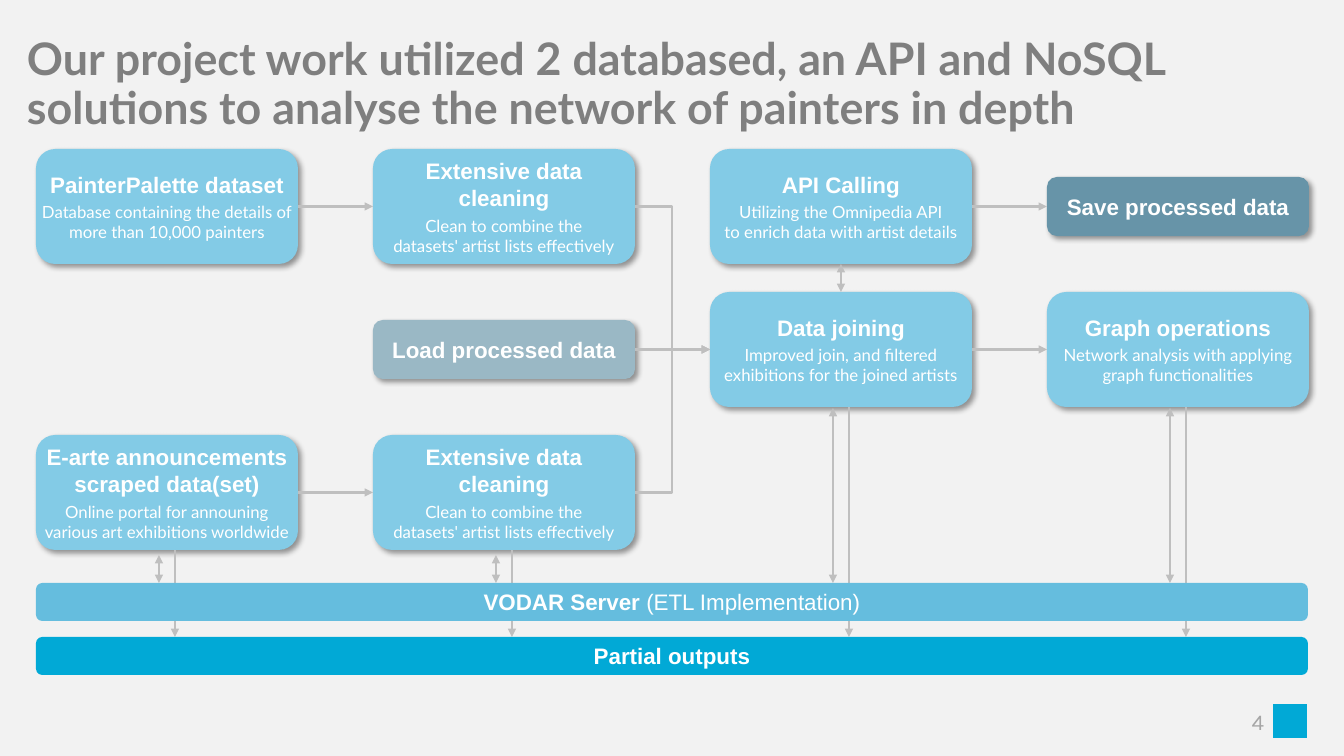
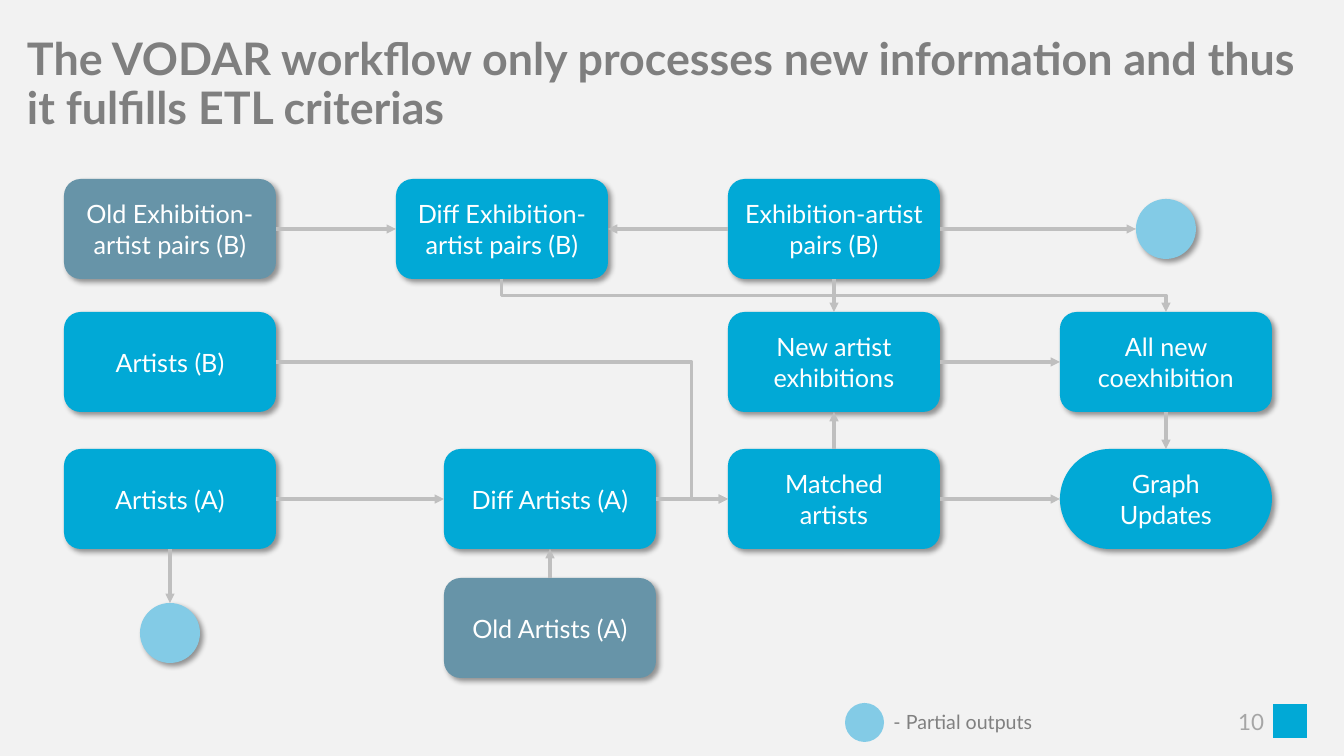
"""Build two flow-diagram slides about a painter network project."""
from copy import deepcopy
from dataclasses import dataclass

from lxml import etree
from pptx import Presentation
from pptx.dml.color import RGBColor
from pptx.enum.shapes import MSO_CONNECTOR, MSO_SHAPE
from pptx.enum.text import MSO_ANCHOR, PP_ALIGN
from pptx.oxml.ns import qn
from pptx.shapes.autoshape import Shape
from pptx.shapes.connector import Connector
from pptx.slide import Slide
from pptx.text.text import TextFrame
from pptx.util import Emu, Pt

ROUNDED, OVAL, RECTANGLE = MSO_SHAPE.ROUNDED_RECTANGLE, MSO_SHAPE.OVAL, MSO_SHAPE.RECTANGLE
STRAIGHT, ELBOW = MSO_CONNECTOR.STRAIGHT, MSO_CONNECTOR.ELBOW
LEFT_ALIGN, CENTER, RIGHT_ALIGN = PP_ALIGN.LEFT, PP_ALIGN.CENTER, PP_ALIGN.RIGHT
TOP_ANCHOR, MIDDLE = MSO_ANCHOR.TOP, MSO_ANCHOR.MIDDLE
TOP, LEFT, BOTTOM, RIGHT = range(4)

BACKGROUND = RGBColor(0xF2, 0xF2, 0xF2)
BLUE = RGBColor(0x01, 0xA9, 0xD6)
MID_BLUE = RGBColor(0x65, 0xBD, 0xDE)
LIGHT_BLUE = RGBColor(0x83, 0xCB, 0xE6)
SLATE = RGBColor(0x67, 0x94, 0xA8)
PALE_SLATE = RGBColor(0x9A, 0xB8, 0xC5)
LINE_GRAY = RGBColor(0xBF, 0xBF, 0xBF)
TITLE_GRAY = RGBColor(0x7F, 0x7F, 0x7F)
LEGEND_GRAY = RGBColor(0x80, 0x80, 0x80)
NUMBER_GRAY = RGBColor(0xA6, 0xA6, 0xA6)
WHITE = RGBColor(0xFF, 0xFF, 0xFF)

SLIDE_WIDTH, SLIDE_HEIGHT = 1344, 756
EMU_PER_PX = 12192000 / SLIDE_WIDTH


@dataclass(frozen=True)
class Style:
    """Font settings of a run."""
    size: int
    font: str = "Lato"
    color: RGBColor = WHITE
    bold: bool = False


@dataclass(frozen=True)
class Line:
    """A paragraph in one style."""
    text: str
    style: Style


@dataclass(frozen=True)
class Area:
    """A rectangle in px."""
    x: int
    y: int
    width: int
    height: int


@dataclass(frozen=True)
class Node:
    """A filled shape of a diagram."""
    area: Area
    fill: RGBColor
    lines: tuple[Line, ...] = ()
    kind: MSO_SHAPE = ROUNDED
    shadow: bool = True
    side_inset: int = 10
    space_after: int = 0
    corner: float | None = None


@dataclass(frozen=True)
class Flow:
    """An arrow between the sides of two nodes."""
    start: str
    end: str
    start_side: int = RIGHT
    end_side: int = LEFT
    bend: float | None = None
    two_way: bool = False


TITLE = Style(32, color=TITLE_GRAY, bold=True)
HEADING = Style(16, "Arial", bold=True)
HEADING_PLAIN = Style(16, "Arial")
DETAIL = Style(12)
STEP = Style(18)
LEGEND = Style(14, color=LEGEND_GRAY)


def px(length: float) -> Emu:
    """Turn px into EMU."""
    return Emu(round(length * EMU_PER_PX))


def place(area: Area) -> tuple[Emu, Emu, Emu, Emu]:
    """Return an area in EMU."""
    return px(area.x), px(area.y), px(area.width), px(area.height)


def apply_style(run, style: Style) -> None:
    """Format a run."""
    run.font.name = style.font
    run.font.size = Pt(style.size)
    run.font.bold = style.bold
    run.font.color.rgb = style.color


def write(frame: TextFrame, lines: tuple[Line, ...], align: PP_ALIGN = CENTER,
          anchor: MSO_ANCHOR = MIDDLE, side_inset: int = 10, space_after: int = 0) -> None:
    """Fill a text frame with styled paragraphs."""
    frame.word_wrap = True
    frame.vertical_anchor = anchor
    frame.margin_left = frame.margin_right = px(side_inset)
    frame.margin_top = frame.margin_bottom = px(5)
    for index, line in enumerate(lines):
        paragraph = frame.add_paragraph() if index else frame.paragraphs[0]
        paragraph.text = line.text
        paragraph.alignment = align
        paragraph.space_after = Pt(space_after)
        for run in paragraph.runs:
            apply_style(run, line.style)
        for line_break in paragraph._p.findall(qn("a:br")):
            line_break.append(deepcopy(paragraph.runs[0]._r.rPr))


def add_text(slide: Slide, area: Area, line: Line, align: PP_ALIGN,
             anchor: MSO_ANCHOR = MIDDLE, side_inset: int = 10) -> TextFrame:
    """Add a text box with one paragraph."""
    frame = slide.shapes.add_textbox(*place(area)).text_frame
    write(frame, (line,), align, anchor, side_inset)
    return frame


def add_shadow(shape: Shape) -> None:
    """Give a shape a soft shadow to the lower right."""
    effects = shape._element.spPr.find(qn("a:effectLst"))
    outer = etree.SubElement(effects, qn("a:outerShdw"), blurRad="50800", dist="38100",
                             dir="2700000", algn="tl", rotWithShape="0")
    color = etree.SubElement(outer, qn("a:srgbClr"), val="000000")
    etree.SubElement(color, qn("a:alpha"), val="40000")


def add_node(slide: Slide, node: Node) -> Shape:
    """Draw a node."""
    shape = slide.shapes.add_shape(node.kind, *place(node.area))
    shape.fill.solid()
    shape.fill.fore_color.rgb = node.fill
    shape.line.fill.background()
    shape.shadow.inherit = False
    if node.shadow:
        add_shadow(shape)
    if node.corner is not None:
        shape.adjustments[0] = node.corner
    if node.lines:
        write(shape.text_frame, node.lines, side_inset=node.side_inset,
              space_after=node.space_after)
    return shape


def style_connector(connector: Connector, width: float, two_way: bool) -> None:
    """Set line colour, width and arrowheads."""
    connector.line.color.rgb = LINE_GRAY
    connector.line.width = Pt(width)
    line = connector.line._get_or_add_ln()
    for end in ("a:headEnd", "a:tailEnd") if two_way else ("a:tailEnd",):
        etree.SubElement(line, qn(end), type="triangle")
    etree.SubElement(connector._element.spPr, qn("a:effectLst"))


def side_point(shape: Shape, side: int) -> tuple[int, int]:
    """Return the middle of a side in EMU."""
    column, row = ((1, 0), (0, 1), (1, 2), (2, 1))[side]
    return shape.left + shape.width * column // 2, shape.top + shape.height * row // 2


def turn_elbow(connector: Connector, begin: tuple[int, int], end: tuple[int, int]) -> None:
    """Make an elbow leave downwards and arrive from above."""
    across, down = end[0] - begin[0], end[1] - begin[1]
    connector.left = Emu((begin[0] + end[0] - down) // 2)
    connector.top = Emu((begin[1] + end[1] - across) // 2)
    connector.width, connector.height = Emu(down), Emu(across)
    transform = connector._element.spPr.find(qn("a:xfrm"))
    transform.set("rot", "16200000")
    transform.set("flipH", "1")


def add_flow(slide: Slide, shapes: dict[str, Shape], flow: Flow, width: float) -> None:
    """Draw an arrow joined to its two shapes."""
    source, target = shapes[flow.start], shapes[flow.end]
    begin, end = side_point(source, flow.start_side), side_point(target, flow.end_side)
    kind = STRAIGHT if flow.bend is None else ELBOW
    connector = slide.shapes.add_connector(kind, *begin, *end)
    connector.begin_connect(source, flow.start_side)
    if target.auto_shape_type != OVAL or flow.end_side == TOP:
        connector.end_connect(target, flow.end_side)
    if flow.bend is not None:
        guides = connector._element.spPr.find(qn("a:prstGeom")).get_or_add_avLst()
        etree.SubElement(guides, qn("a:gd"), name="adj1", fmla=f"val {round(flow.bend * 100000)}")
        if flow.start_side == BOTTOM:
            turn_elbow(connector, begin, end)
    style_connector(connector, width, flow.two_way)


def add_diagram(slide: Slide, nodes: dict[str, Node], flows: list[Flow], width: float) -> None:
    """Draw nodes and the arrows between them."""
    shapes = {name: add_node(slide, node) for name, node in nodes.items()}
    for flow in flows:
        add_flow(slide, shapes, flow, width)


def add_base(presentation: Presentation, title: str, number: str, number_font: str) -> Slide:
    """Add a slide with title, page number and corner square."""
    slide = presentation.slides.add_slide(presentation.slide_layouts[6])
    frame = add_text(slide, Area(23, 32, 1298, 112), Line(title, TITLE), LEFT_ALIGN, TOP_ANCHOR, 4)
    frame.paragraphs[0].line_spacing = 0.9
    add_node(slide, Node(Area(1273, 704, 34, 34), BLUE, kind=RECTANGLE, shadow=False))
    add_text(slide, Area(1199, 705, 75, 33), Line(number, Style(16, number_font, NUMBER_GRAY)),
             RIGHT_ALIGN)
    return slide


def card(column: int, row: int, heading: str, detail: str = "",
         fill: RGBColor = LIGHT_BLUE) -> Node:
    """Return a process card, lower when it has no detail."""
    height, offset = (115, 0) if detail else (59, 28)
    lines = (Line(heading, HEADING),) + ((Line(detail, DETAIL),) if detail else ())
    return Node(Area(36 + 337 * column, 149 + 143 * row + offset, 262, height), fill, lines,
                side_inset=0, space_after=3)


def build_project(presentation: Presentation) -> None:
    """Build the project overview."""
    slide = add_base(presentation, "Our project work utilized 2 databased, an API and NoSQL "
                     "solutions to analyse the network of painters in depth", "4", "Karla")
    cleaning = ("Extensive data cleaning", "Clean to combine the\ndatasets' artist lists effectively")
    nodes = {
        "palette": card(0, 0, "PainterPalette dataset",
                        "Database containing the details of more than 10,000 painters"),
        "portal": card(0, 2, "E-arte announcements scraped data(set)",
                       "Online portal for announing various art exhibitions worldwide"),
        "palette cleaning": card(1, 0, *cleaning),
        "portal cleaning": card(1, 2, *cleaning),
        "load": card(1, 1, "Load processed data", fill=PALE_SLATE),
        "api": card(2, 0, "API Calling",
                    "Utilizing the Omnipedia API\nto enrich data with artist details"),
        "joining": card(2, 1, "Data joining",
                        "Improved join, and filtered exhibitions for the joined artists"),
        "save": card(3, 0, "Save processed data", fill=SLATE),
        "graph": card(3, 1, "Graph operations",
                      "Network analysis with applying graph functionalities"),
    }
    flows = [Flow("palette", "palette cleaning"), Flow("portal", "portal cleaning"),
             Flow("palette cleaning", "joining", bend=0.5),
             Flow("portal cleaning", "joining", bend=0.5),
             Flow("load", "joining"), Flow("api", "save"), Flow("joining", "graph"),
             Flow("api", "joining", BOTTOM, TOP, two_way=True)]
    add_diagram(slide, nodes, flows, 1.5)
    server_top, outputs_top = 583, 637
    for name, gap in (("portal", 5), ("portal cleaning", 5), ("joining", 1), ("graph", 1)):
        area = nodes[name].area
        middle, bottom = area.x + area.width // 2, area.y + area.height
        for x, top, end, two_way in ((middle + 8, bottom, outputs_top, False),
                                     (middle - 8, bottom + gap, server_top, True)):
            connector = slide.shapes.add_connector(STRAIGHT, px(x), px(top), px(x), px(end))
            style_connector(connector, 1.5, two_way)
    server, _ = [add_node(slide, Node(Area(36, top, 1272, 38), fill, (Line(text, HEADING),),
                                      shadow=False))
                 for top, fill, text in ((server_top, MID_BLUE, "VODAR Server "),
                                         (outputs_top, BLUE, "Partial outputs"))]
    run = server.text_frame.paragraphs[0].add_run()
    run.text = "(ETL Implementation)"
    apply_style(run, HEADING_PLAIN)


def step(x: int, y: int, text: str, fill: RGBColor = BLUE, corner: float | None = None) -> Node:
    """Return a workflow step."""
    return Node(Area(x, y, 212, 100), fill, (Line(text, STEP),), corner=corner)


def build_workflow(presentation: Presentation) -> None:
    """Build the workflow diagram."""
    slide = add_base(presentation, "The VODAR workflow only processes new information and thus "
                     "it fulfills ETL criterias", "10", "Lato")
    first, second, third, fourth = (64 + 332 * column for column in range(4))
    between = 444
    pairs, exhibitions, artists, old = 179, 312, 449, 578
    nodes = {
        "old pairs": step(first, pairs, "Old Exhibition-artist pairs (B)", SLATE),
        "diff pairs": step(second, pairs, "Diff Exhibition-artist pairs (B)"),
        "pairs": step(third, pairs, "Exhibition-artist pairs (B)"),
        "artists b": step(first, exhibitions, "Artists (B)"),
        "exhibitions": step(third, exhibitions, "New artist exhibitions"),
        "coexhibition": step(fourth, exhibitions, "All new coexhibition"),
        "artists a": step(first, artists, "Artists (A)"),
        "diff artists": step(between, artists, "Diff Artists (A)"),
        "matched": step(third, artists, "Matched\nartists"),
        "updates": step(fourth, artists, "Graph\nUpdates", corner=0.5),
        "old artists": step(between, old, "Old Artists (A)", SLATE),
        "pairs output": Node(Area(1136, 199, 60, 60), LIGHT_BLUE, kind=OVAL),
        "artists output": Node(Area(140, 603, 60, 60), LIGHT_BLUE, kind=OVAL),
    }
    flows = [Flow("old pairs", "diff pairs"), Flow("pairs", "diff pairs", LEFT, RIGHT),
             Flow("pairs", "pairs output"), Flow("pairs", "exhibitions", BOTTOM, TOP),
             Flow("exhibitions", "coexhibition"), Flow("diff artists", "matched"),
             Flow("artists a", "diff artists"), Flow("artists b", "matched", bend=0.92),
             Flow("diff pairs", "coexhibition", BOTTOM, TOP, bend=0.5),
             Flow("coexhibition", "updates", BOTTOM, TOP),
             Flow("artists a", "artists output", BOTTOM, TOP),
             Flow("matched", "exhibitions", TOP, BOTTOM),
             Flow("old artists", "diff artists", TOP, BOTTOM), Flow("matched", "updates")]
    add_diagram(slide, nodes, flows, 2.25)
    add_node(slide, Node(Area(845, 703, 39, 39), LIGHT_BLUE, kind=OVAL, shadow=False))
    add_text(slide, Area(857, 702, 212, 40), Line("- Partial outputs", LEGEND), CENTER)


def main() -> None:
    """Build and save the presentation."""
    presentation = Presentation()
    presentation.slide_width, presentation.slide_height = px(SLIDE_WIDTH), px(SLIDE_HEIGHT)
    background = presentation.slide_master.background.fill
    background.solid()
    background.fore_color.rgb = BACKGROUND
    build_project(presentation)
    build_workflow(presentation)
    presentation.save("out.pptx")


if __name__ == "__main__":
    main()
